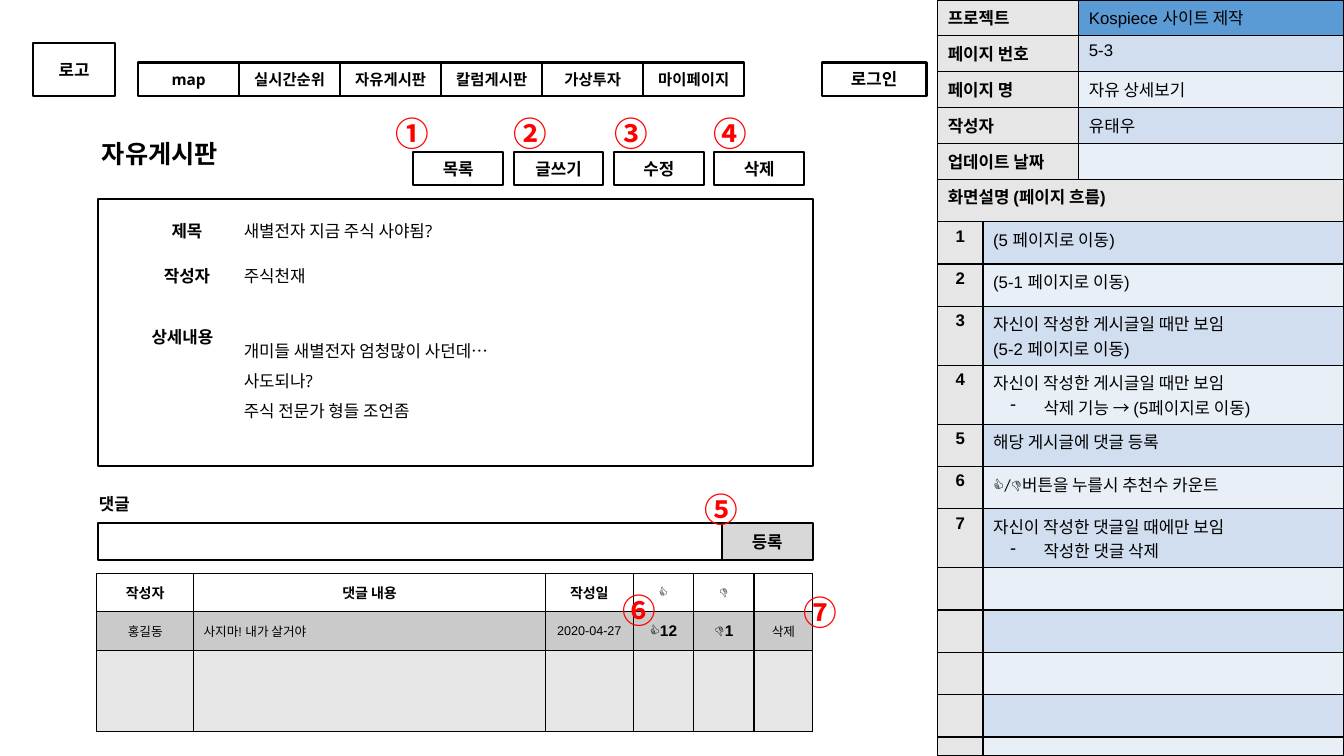
from collections import namedtuple
from dataclasses import dataclass

from lxml import etree
from pptx import Presentation
from pptx.dml.color import RGBColor
from pptx.enum.shapes import MSO_SHAPE
from pptx.enum.text import MSO_ANCHOR, PP_ALIGN
from pptx.oxml.ns import qn
from pptx.util import Inches, Pt

RECT = MSO_SHAPE.RECTANGLE
LEFT, MID = PP_ALIGN.LEFT, PP_ALIGN.CENTER
TOP, CENTER = MSO_ANCHOR.TOP, MSO_ANCHOR.MIDDLE
UNIT = 0.1  # inches in one grid column or row
Box = namedtuple("Box", "x y w h")


@dataclass(frozen=True)
class Theme:
    ink: str = "000000"
    white: str = "FFFFFF"
    red: str = "FF0000"
    grey: str = "E7E6E6"
    dark: str = "CACACA"
    button: str = "D8D8D8"
    blue: str = "5B9BD5"
    bands: tuple = ("D0DEEF", "E9EFF7")
    wire: str = "Open Sans"
    grid: str = "Arial"
    icon: str = "Calibri"
    hangul: str = "Noto Sans CJK KR"
    title: int = 18
    mark: int = 24
    body: int = 12
    menu: int = 11
    head: int = 10
    small: int = 9
    blank: int = 4


T = Theme()


def size(n):
    return Inches(n * UNIT)


def inside(box, x, y, w, h):
    return Box(box.x + x, box.y + y, w, h)


def paint(target, color):
    target.fill.solid()
    target.fill.fore_color.rgb = RGBColor.from_string(color)


def write(frame, lines, pt=T.body, bold=False, face=T.wire, color=T.ink,
          align=LEFT, space=None):
    """Fill a text frame; a line that starts with "- " becomes a bullet."""
    frame.word_wrap = True
    for i, line in enumerate(lines):
        para = frame.paragraphs[0] if i == 0 else frame.add_paragraph()
        para.alignment = align
        if space:
            para.line_spacing = space
        if line.startswith("- "):
            line = line[2:]
            props = para._p.get_or_add_pPr()
            props.set("marL", str(Inches(0.5)))
            props.set("indent", str(Inches(-0.33)))
            etree.SubElement(props, qn("a:buChar"), char="-")
        run = para.add_run()
        run.text = line
        font = run.font
        font.size, font.bold, font.name = Pt(pt), bold, face
        font.color.rgb = RGBColor.from_string(color)
        etree.SubElement(run._r.get_or_add_rPr(), qn("a:ea"), typeface=T.hangul)


def label(slide, box, lines, anchor=CENTER, inset=1, **style):
    frame = slide.shapes.add_textbox(*map(size, box)).text_frame
    frame.vertical_anchor = anchor
    frame.margin_left = frame.margin_right = size(1)
    frame.margin_top = frame.margin_bottom = size(inset)
    write(frame, lines, **style)


def panel(slide, box, text=None, fill=None, pt=T.body):
    shape = slide.shapes.add_shape(RECT, *map(size, box))
    shape.shadow.inherit = False
    if fill:
        paint(shape, fill)
    else:
        shape.fill.background()
    shape.line.color.rgb = RGBColor.from_string(T.ink)
    shape.line.width = Pt(1.5)
    if text:
        frame = shape.text_frame
        frame.vertical_anchor = CENTER
        frame.margin_left = frame.margin_right = size(1)
        frame.margin_top = frame.margin_bottom = size(1)
        write(frame, [text], pt=pt, bold=True, align=MID)


def edge(cell):
    props = cell._tc.get_or_add_tcPr()
    for i, side in enumerate(("lnL", "lnR", "lnT", "lnB")):
        line = etree.Element(qn("a:" + side), w=str(Pt(1)))
        fill = etree.SubElement(line, qn("a:solidFill"))
        etree.SubElement(fill, qn("a:srgbClr"), val=T.ink)
        props.insert(i, line)


def table(slide, box, cols, rows):
    frame = slide.shapes.add_table(len(rows), len(cols), *map(size, box))
    grid = frame.table
    for col, w in zip(grid.columns, cols):
        col.width = size(w)
    for row, h in zip(grid.rows, rows):
        row.height = size(h)
    return grid


def put(cell, lines, fill, anchor=TOP, **style):
    paint(cell, fill)
    edge(cell)
    cell.vertical_anchor = anchor
    if lines:
        write(cell.text_frame, lines, **{"face": T.grid, **style})
    else:
        cell.margin_top = cell.margin_bottom = 0
        para = cell.text_frame.paragraphs[0]._p
        etree.SubElement(para, qn("a:endParaRPr"), sz=str(T.blank * 100))


def menu(slide, box):
    panel(slide, inside(box, 0, 0, 8.1, 5.2), "로고")
    names = ("map", "실시간순위", "자유게시판", "칼럼게시판", "가상투자", "마이페이지")
    for i, name in enumerate(names):
        panel(slide, inside(box, 10.4 + 10.02 * i, 1.9, 10.02, 3.3), name, pt=T.menu)
    panel(slide, inside(box, 78.2, 1.9, 10.4, 3.3), "로그인")


def post(slide, box):
    label(slide, inside(box, -2.9, -6.3, 18.1, 3.7), ["자유게시판"],
          pt=T.title, bold=True, align=MID)
    for i, name in enumerate(("목록", "글쓰기", "수정", "삭제")):
        panel(slide, inside(box, 31.3 + 9.95 * i, -4.6, 8.9, 3.3), name)
    panel(slide, box)
    for name, y in (("제목", 1.4), ("작성자", 5.8), ("상세내용", 11.9)):
        x, w = (3.2, 10.4) if len(name) > 3 else (4.7, 8.3)
        label(slide, inside(box, x, y, w, 3.7), [name], bold=True, align=MID)
    for text, y in (("새별전자 지금 주식 사야됨?", 1.4), ("주식천재", 5.8)):
        label(slide, inside(box, 13.5, y, 46.6, 3.7), [text])
    story = ["개미들 새별전자 엄청많이 사던데…", "사도되나?", "주식 전문가 형들 조언좀"]
    label(slide, inside(box, 13.5, 12.1, 46.7, 12.4), story, anchor=TOP, space=1.5)


def replies(slide, box):
    label(slide, inside(box, -2.4, 0, 8.1, 3.7), ["댓글"], bold=True, align=MID)
    panel(slide, inside(box, 61.9, 3.8, 9, 3.7), "등록", fill=T.button)
    panel(slide, inside(box, 0, 3.8, 61.9, 3.7))
    grid = table(slide, inside(box, -0.1, 8.8, 71, 15.7),
                 (9.6, 34.9, 8.7, 6, 6, 5.8), (3.8, 3.8, 3.4, 3.4, 1.3))
    heads = ("작성자", "댓글 내용", "작성일", "👍", "👎", "")
    reply = ("홍길동", "사지마! 내가 살거야", "2020-04-27", "👍12", "👎1", "삭제")
    for c, (head, text) in enumerate(zip(heads, reply)):
        put(grid.cell(0, c), [head] if head else [], T.white, CENTER,
            pt=T.head, bold=True, align=MID)
        vote = c in (3, 4)
        put(grid.cell(1, c), [text], T.dark, CENTER, bold=vote,
            pt=T.menu if vote else T.small, align=LEFT if c == 1 else MID)
        for r in (2, 3, 4):
            put(grid.cell(r, c), [], T.grey)
        grid.cell(2, c).merge(grid.cell(4, c))


def marks(slide, box):
    spots = ((38.2, 10.7), (49.9, 10.7), (60, 10.7), (69.8, 10.7),
             (68.9, 48), (60.8, 58), (78.7, 58.2))
    for sign, (x, y) in zip("①②③④⑤⑥⑦", spots):
        label(slide, inside(box, x, y, 6, 5), [sign], anchor=TOP, inset=0.5,
              pt=T.mark, bold=True, face=T.hangul, color=T.red)


def facts(slide, box):
    pairs = (("프로젝트", "Kospiece 사이트 제작"), ("페이지 번호", "5-3"),
             ("페이지 명", "자유 상세보기"), ("작성자", "유태우"), ("업데이트 날짜", ""))
    grid = table(slide, box, (14, box.w - 14), [box.h / len(pairs)] * len(pairs))
    for r, (name, value) in enumerate(pairs):
        put(grid.cell(r, 0), [name], T.grey, bold=True)
        fill = T.bands[(r + 1) % 2] if r else T.blue
        put(grid.cell(r, 1), [value] if value else [], fill)


def flow(slide, box):
    """Numbered notes on what each marked control does."""
    own = "자신이 작성한 게시글일 때만 보임"
    notes = (["(5 페이지로 이동)"], ["(5-1 페이지로 이동)"],
             [own, "(5-2 페이지로 이동)"],
             [own, "- 삭제 기능 → (5페이지로 이동)"],
             ["해당 게시글에 댓글 등록"], ["👍/👎버튼을 누를시 추천수 카운트"],
             ["자신이 작성한 댓글일 때에만 보임", "- 작성한 댓글 삭제"],
             [], [], [], [], [])
    rows = [4.2] + [5.85 if len(note) > 1 else 4.2 for note in notes]
    rows[-1] = box.h - sum(rows[:-1])
    grid = table(slide, box, (4.5, box.w - 4.5), rows)
    put(grid.cell(0, 0), ["화면설명 (페이지 흐름)"], T.grey, bold=True)
    put(grid.cell(0, 1), [], T.grey)
    grid.cell(0, 0).merge(grid.cell(0, 1))
    for r, note in enumerate(notes, 1):
        put(grid.cell(r, 0), [str(r)] if note else [], T.grey, bold=True, align=MID)
        face = T.icon if r == 6 else T.grid
        put(grid.cell(r, 1), note, T.bands[(r - 1) % 2], face=face)


def main():
    deck = Presentation()
    deck.slide_width, deck.slide_height = Inches(13.33), Inches(7.5)
    slide = deck.slides.add_slide(deck.slide_layouts[6])
    facts(slide, Box(93, 0, 40.3, 17.8))
    flow(slide, Box(93, 17.8, 40.3, 57.2))
    menu(slide, Box(3.3, 4.3, 88.6, 5.2))
    post(slide, Box(9.7, 19.7, 70.9, 26.5))
    replies(slide, Box(9.7, 48.1, 70.9, 24.5))
    marks(slide, Box(0, 0, 93, 75))
    deck.save("out.pptx")


if __name__ == "__main__":
    main()
